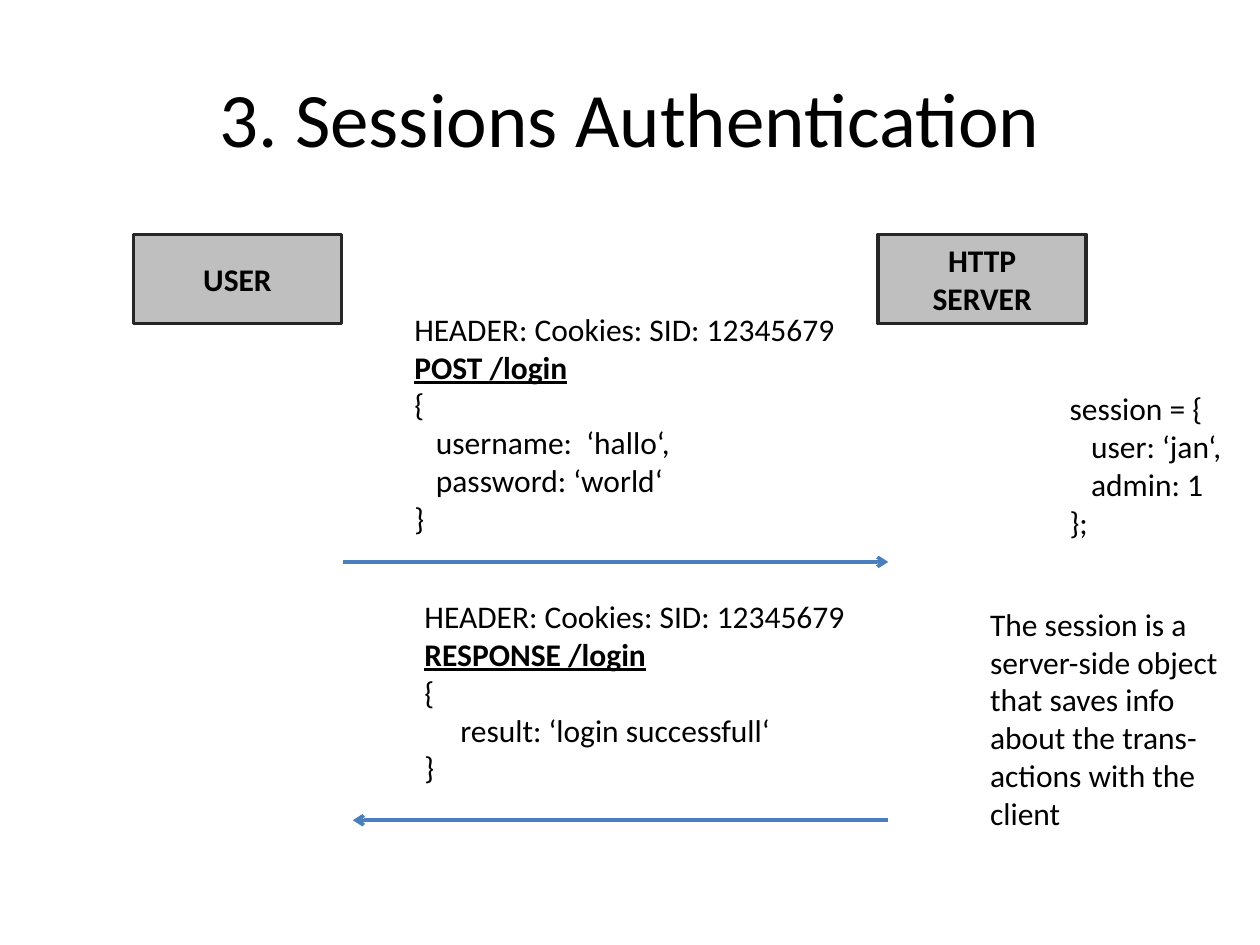
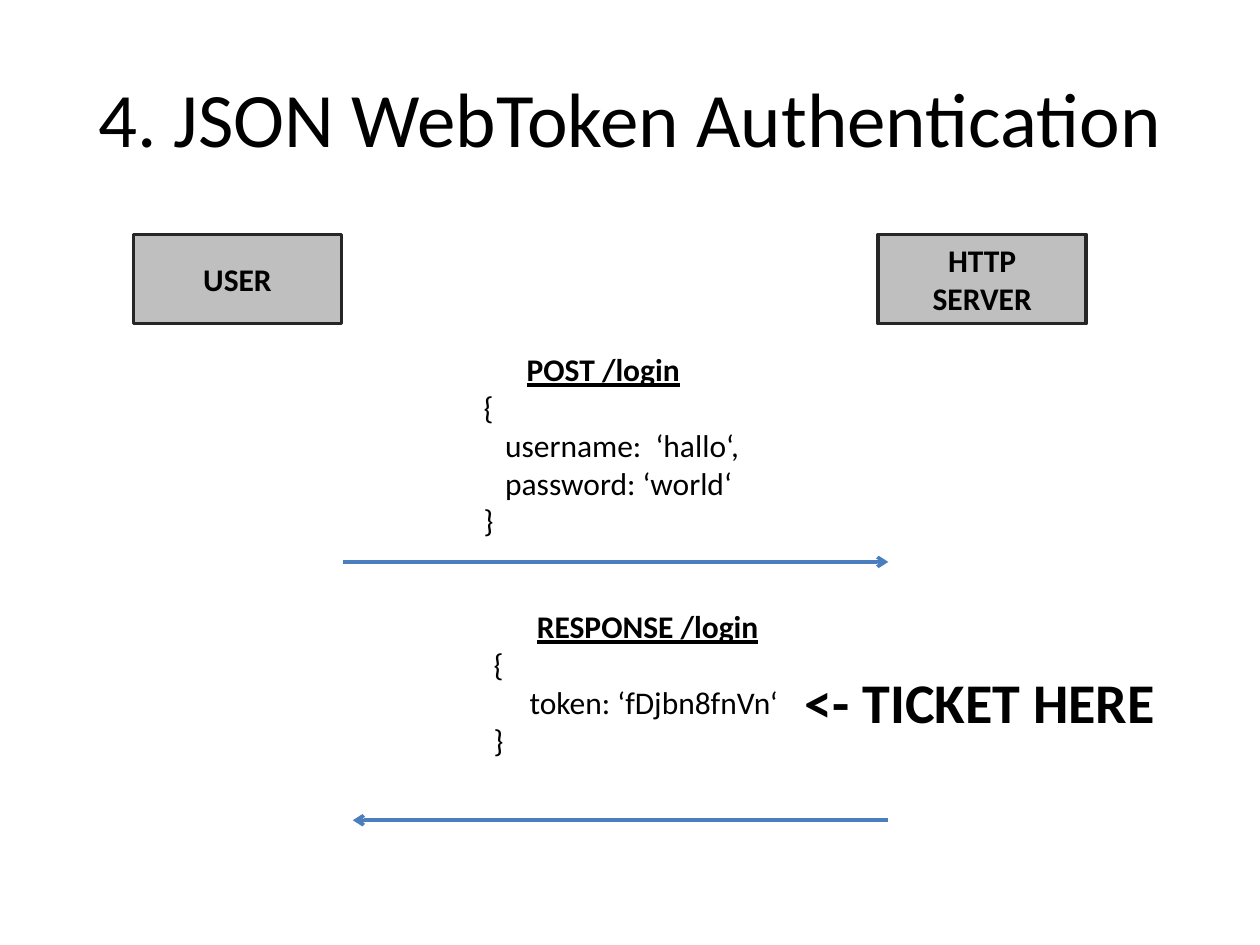
from lxml import etree
from pptx import Presentation
from pptx.dml.color import RGBColor
from pptx.enum.shapes import MSO_CONNECTOR, MSO_SHAPE
from pptx.enum.text import MSO_ANCHOR, PP_ALIGN
from pptx.oxml.ns import qn
from pptx.util import Inches, Pt

RECT, STRAIGHT = MSO_SHAPE.RECTANGLE, MSO_CONNECTOR.STRAIGHT
CENTER, MIDDLE = PP_ALIGN.CENTER, MSO_ANCHOR.MIDDLE

# Shared style
FONT, BODY_SIZE, TITLE_SIZE, CALLOUT_SIZE = "Calibri", 18, 44, 32
INK, BOX_FILL, BOX_EDGE, ARROW = "000000", "BFBFBF", "262626", "4B7EBC"
INDENT = 0.057  # one indent step, in inches
INSET = 0.1

# Shared diagram: the two parties and the messages between them
PARTY_TOP, PARTY_W, PARTY_H = 1.86, 1.65, 0.71
PARTIES = [(1.06, ["USER"]), (6.97, ["HTTP", "SERVER"])]
MESSAGES = [((2.72, 4.46), (7.05, 4.46)), ((7.05, 6.51), (2.8, 6.51))]

# Content: a line is (indent steps, text) or (indent steps, text, heading)
HEADER = (0, "HEADER: Cookies: SID: 12345679")
CREDENTIALS = [(0, "{"), (3, "username:  ‘hallo‘,"),
               (3, "password: ‘world‘"), (0, "}")]
SLIDES = [
    {
        "title": "3. Sessions Authentication",
        "notes": [
            ((3.19, 2.41, 3.92, 1.92),
             [HEADER, (0, "POST /login", True)] + CREDENTIALS),
            ((3.27, 4.69, 3.92, 1.62),
             [HEADER, (0, "RESPONSE /login", True), (0, "{"),
              (5, "result: ‘login successfull‘"), (0, "}")]),
            ((8.39, 3.04, 1.42, 1.31),
             [(0, "session = {"), (3, "user: ‘jan‘,"),
              (3, "admin: 1"), (0, "};")]),
            ((7.76, 4.75, 2.04, 1.92),
             [(0, line) for line in (
                 "The session is a", "server-side object",
                 "that saves info", "about the trans-",
                 "actions with the", "client")]),
        ],
    },
    {
        "title": "4. JSON WebToken Authentication",
        "notes": [
            ((3.74, 2.73, 2.26, 1.62),
             [(6, "POST /login", True)] + CREDENTIALS),
            ((3.82, 4.77, 2.49, 1.31),
             [(6, "RESPONSE /login", True), (0, "{"),
              (5, "token: ‘fDjbn8fnVn‘"), (0, "}")]),
        ],
        "callout": ((6.29, 5.25, 3.01, 0.64), "<- TICKET HERE"),
    },
]


def color(value):
    return RGBColor.from_string(value)


def style(paragraph, size=BODY_SIZE, bold=False, underline=False):
    font = paragraph.font
    font.name, font.size = FONT, Pt(size)
    font.bold, font.underline = bold, underline
    font.color.rgb = color(INK)


def write(frame, lines):
    """Fill the frame with one paragraph per line and return them."""
    frame.text = "\n".join(lines)
    return frame.paragraphs


def add_title(slide, text):
    title = slide.shapes.title
    title.left, title.top, title.width, title.height = map(
        Inches, (0.5, 0.3, 9, 1.25))
    title.text_frame.vertical_anchor = MIDDLE
    for paragraph in write(title.text_frame, [text]):
        paragraph.alignment = CENTER
        style(paragraph, TITLE_SIZE)


def add_party(slide, left, names):
    party = slide.shapes.add_shape(
        RECT, *map(Inches, (left, PARTY_TOP, PARTY_W, PARTY_H)))
    party.shadow.inherit = False
    party.fill.solid()
    party.fill.fore_color.rgb = color(BOX_FILL)
    party.line.color.rgb = color(BOX_EDGE)
    party.line.width = Pt(2)
    party.text_frame.vertical_anchor = MIDDLE
    for paragraph in write(party.text_frame, names):
        paragraph.alignment = CENTER
        style(paragraph, bold=True)


def add_message(slide, start, end):
    message = slide.shapes.add_connector(
        STRAIGHT, *map(Inches, start + end))
    message.line.color.rgb = color(ARROW)
    message.line.width = Pt(2)
    etree.SubElement(message.line._get_or_add_ln(), qn("a:tailEnd"), type="arrow")
    etree.SubElement(message._element.spPr, qn("a:effectLst"))


def add_text(slide, place):
    frame = slide.shapes.add_textbox(*map(Inches, place)).text_frame
    frame.word_wrap = True
    frame.margin_left, frame.margin_right = Inches(INSET), 0
    return frame


def add_note(slide, place, lines):
    paragraphs = write(add_text(slide, place), [line[1] for line in lines])
    for paragraph, (steps, _, *heading) in zip(paragraphs, lines):
        style(paragraph, bold=bool(heading), underline=bool(heading))
        if steps:
            paragraph._p.get_or_add_pPr().set(
                "marL", str(Inches(steps * INDENT)))


def add_callout(slide, place, text):
    for paragraph in write(add_text(slide, place), [text]):
        style(paragraph, CALLOUT_SIZE, bold=True)


prs = Presentation()
prs.slide_width, prs.slide_height = Inches(10), Inches(7.5)
title_only = prs.slide_layouts[5]

for content in SLIDES:
    slide = prs.slides.add_slide(title_only)
    add_title(slide, content["title"])
    for left, names in PARTIES:
        add_party(slide, left, names)
    for start, end in MESSAGES:
        add_message(slide, start, end)
    for place, lines in content["notes"]:
        add_note(slide, place, lines)
    if "callout" in content:
        add_callout(slide, *content["callout"])

prs.save("out.pptx")
